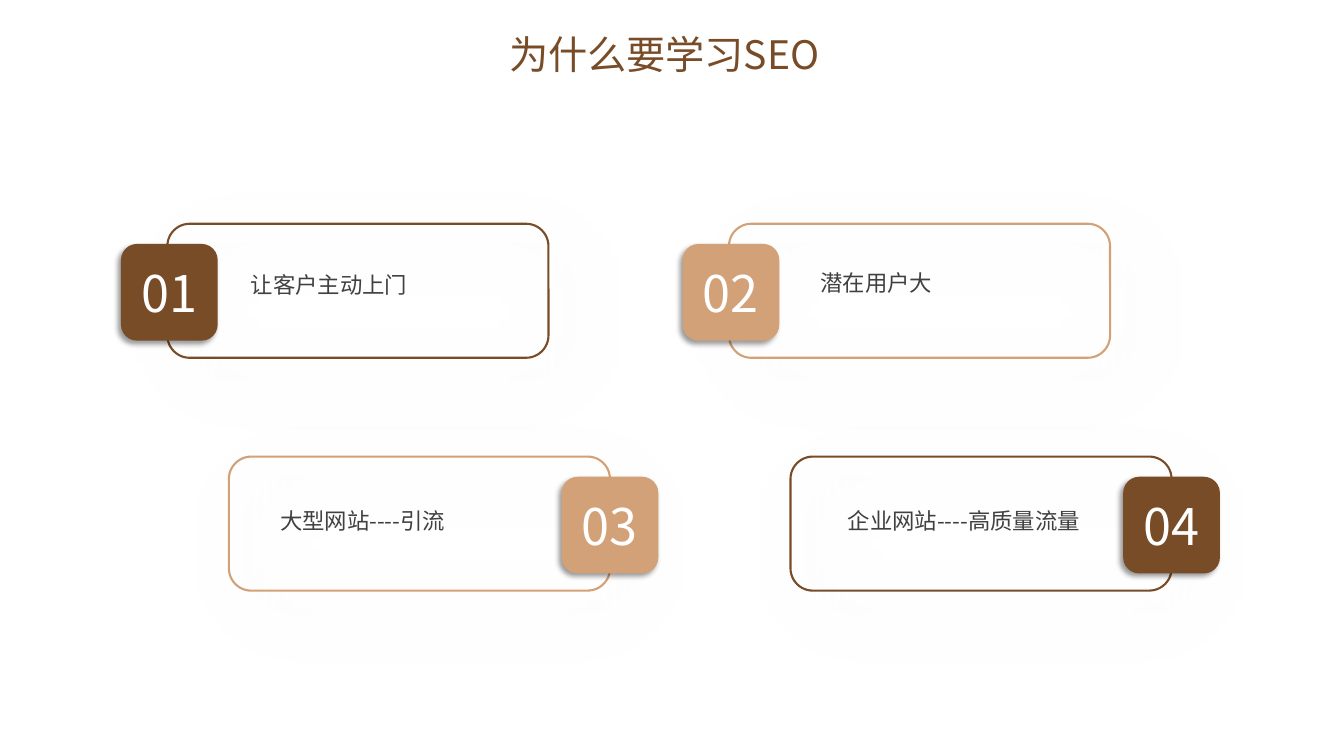
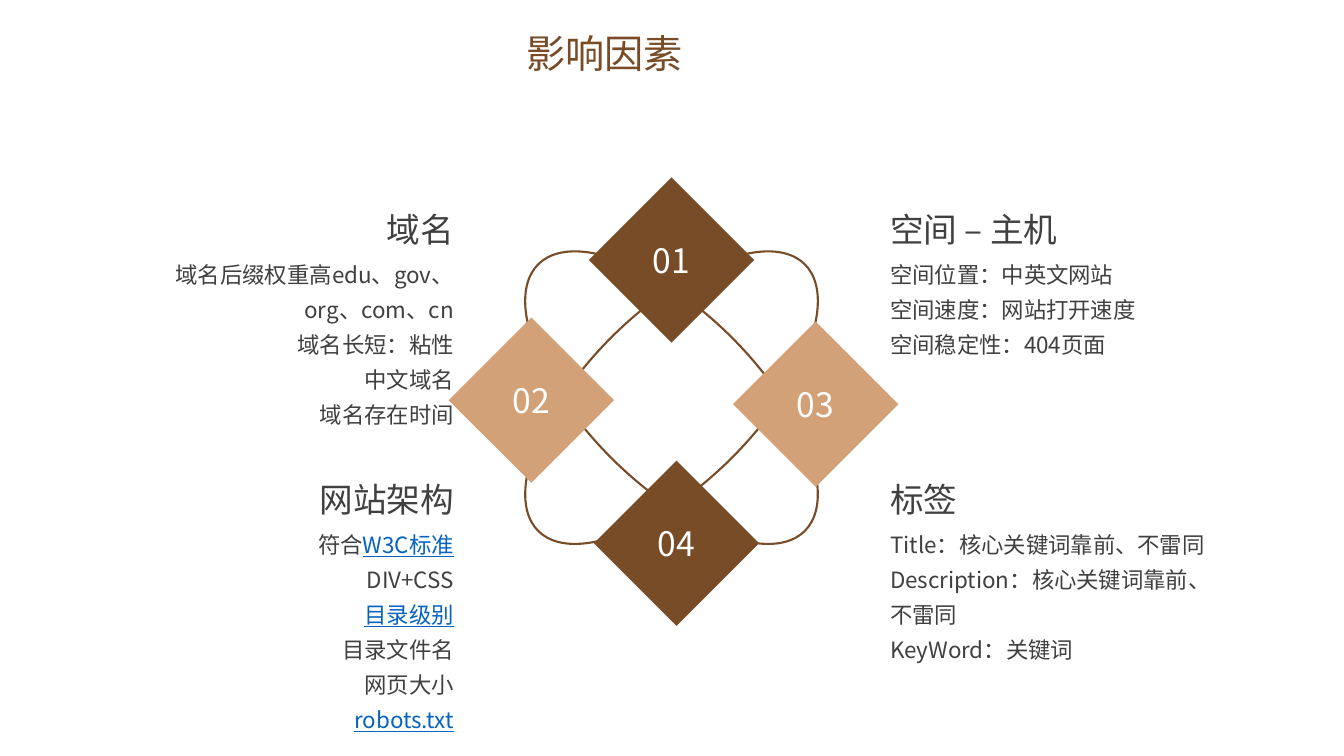
from lxml.etree import SubElement
from pptx import Presentation
from pptx.dml.color import RGBColor
from pptx.enum.shapes import MSO_SHAPE
from pptx.enum.text import MSO_ANCHOR, MSO_AUTO_SIZE, PP_ALIGN
from pptx.oxml.ns import qn
from pptx.util import Emu, Inches, Pt

FONT = "Noto Sans CJK SC"
COLORS = {
    "brown": "794C28",
    "tan": "D3A177",
    "text": "404040",
    "link": "0563C1",
    "white": "FFFFFF",
    "gray": "808080",
    "black": "000000",
}
CARD_SHADOW = ("gray", 20, 50, 20, 45)
BADGE_SHADOW = ("black", 40, 4, 3, 135)


def rgb(name):
    """Return the named palette colour."""
    return RGBColor.from_string(COLORS[name])


def style_run(r, size, color):
    """Set the size, colour and typefaces of a run."""
    r.font.size = Pt(size)
    r.font.name = FONT
    r.font.color.rgb = rgb(color)
    SubElement(r.font._element, qn("a:ea"), typeface=FONT)


def add_shadow(shape, color, alpha, blur, dist, angle):
    """Give a shape an outer shadow, with lengths in points."""
    effects = shape._element.spPr.find(qn("a:effectLst"))
    outer = SubElement(effects, qn("a:outerShdw"), blurRad=str(Pt(blur)), dist=str(Pt(dist)),
                       dir=str(angle * 60000), algn="ctr", rotWithShape="0")
    clr = SubElement(outer, qn("a:srgbClr"), val=COLORS[color])
    SubElement(clr, qn("a:alpha"), val=str(alpha * 1000))


def add_figure(s, kind, x, y, w, h, fill=None, line=None, shadow=None):
    """Add a preset shape that is either filled or outlined."""
    shape = s.shapes.add_shape(kind, Inches(x), Inches(y), Inches(w), Inches(h))
    shape.shadow.inherit = False
    if fill:
        shape.fill.solid()
        shape.fill.fore_color.rgb = rgb(fill)
    else:
        shape.fill.background()
    if line:
        shape.line.color.rgb = rgb(line)
        shape.line.width = Pt(1.5)
    else:
        shape.line.fill.background()
    if shadow:
        add_shadow(shape, *shadow)
    return shape


def add_number(shape, text, size):
    """Centre a white number in a shape."""
    tf = shape.text_frame
    tf.margin_left = tf.margin_right = Emu(0)
    tf.vertical_anchor = MSO_ANCHOR.MIDDLE
    tf.text = text
    p = tf.paragraphs[0]
    p.alignment = PP_ALIGN.CENTER
    style_run(p.runs[0], size, "white")


def add_text(s, x, y, w, h, lines, size, color="text", align=None, spacing=None):
    """Add a text box; each line is a string or a list of (text, is_link) pairs."""
    tb = s.shapes.add_textbox(Inches(x), Inches(y), Inches(w), Inches(h))
    tf = tb.text_frame
    tf.word_wrap = True
    tf.auto_size = MSO_AUTO_SIZE.SHAPE_TO_FIT_TEXT
    for i, line in enumerate(lines):
        p = tf.add_paragraph() if i else tf.paragraphs[0]
        p.alignment = align
        p.line_spacing = spacing
        for text, is_link in [(line, False)] if isinstance(line, str) else line:
            r = p.add_run()
            r.text = text
            style_run(r, size, "link" if is_link else color)
            if is_link:
                r.font.underline = True


def add_title(s, x, y, w, text):
    """Add the slide title."""
    add_text(s, x, y, w, 0.57, [text], 28, "brown", PP_ALIGN.JUSTIFY)


def add_card(s, x, y, number, text, color, badge_dx, text_dx, text_dy, spacing):
    """Add an outlined card with a number badge on one side."""
    add_figure(s, MSO_SHAPE.ROUNDED_RECTANGLE, x, y, 3.78, 1.33, line=color, shadow=CARD_SHADOW)
    badge = add_figure(s, MSO_SHAPE.ROUNDED_RECTANGLE, x + badge_dx, y + 0.2, 0.96, 0.96,
                       fill=color, shadow=BADGE_SHADOW)
    add_number(badge, number, 36)
    add_text(s, x + text_dx, y + text_dy, 2.6, 0.42, [text], 16, spacing=spacing)


def add_ring(s, x, y):
    """Add two crossed ellipses with four numbered diamonds."""
    for angle in (45, 135):
        ellipse = add_figure(s, MSO_SHAPE.OVAL, x + 0.34, y + 1.34, 3.74, 1.69, line="brown")
        ellipse.rotation = angle
    for number, dx, dy, color in (
        ("01", 1.39, 0, "brown"),
        ("03", 2.82, 1.43, "tan"),
        ("04", 1.44, 2.81, "brown"),
        ("02", 0, 1.39, "tan"),
    ):
        diamond = add_figure(s, MSO_SHAPE.FLOWCHART_DECISION, x + dx, y + dy, 1.64, 1.64, fill=color)
        add_number(diamond, number, 24)


def add_factor(s, x, y, w, heading, lines, align=None):
    """Add a heading with its detail lines below."""
    add_text(s, x, y, w, 0.5, [heading], 24, align=align)
    add_text(s, x, y + 0.44, w, 0.35 * len(lines) + 0.07, lines, 16, align=align, spacing=1.3)


def build_reasons(s):
    """Build the slide with four reason cards."""
    cards = (
        ("01", "让客户主动上门", "brown", 0.73, 0.29, 1.5),
        ("02", "潜在用户大", "tan", 0.81, 0.32, 1.3),
        ("03", "大型网站----引流", "tan", 0.41, 0.37, 1.3),
        ("04", "企业网站----高质量流量", "brown", 0.47, 0.37, 1.3),
    )
    for i, (number, text, color, text_dx, text_dy, spacing) in enumerate(cards):
        row, col = divmod(i, 2)
        add_card(s, 1.66 + 5.57 * col + 0.61 * row, 2.22 + 2.31 * row, number, text, color,
                 3.3 if row else -0.46, text_dx, text_dy, spacing)
    add_title(s, 4.95, 0.25, 3.42, "为什么要学习SEO")


def build_factors(s):
    """Build the slide with four groups of factors around a ring."""
    add_ring(s, 4.45, 1.76)
    left, right, top, bottom = 1.23, 8.73, 2.02, 4.7
    add_factor(s, right, bottom, 3.37, "标签", [
        "Title：核心关键词靠前、不雷同",
        "Description：核心关键词靠前、不雷同",
        "KeyWord：关键词",
    ])
    add_factor(s, right, top, 4.6, "空间 – 主机", [
        "空间位置：中英文网站",
        "空间速度：网站打开速度",
        "空间稳定性：404页面",
    ])
    add_factor(s, left, bottom, 3.37, "网站架构", [
        [("符合", False), ("W3C标准", True)],
        "DIV+CSS",
        [("目录级别", True)],
        "目录文件名",
        "网页大小",
        [("robots.txt", True)],
    ], PP_ALIGN.RIGHT)
    add_factor(s, left, top, 3.37, "域名", [
        "域名后缀权重高edu、gov、org、com、cn",
        "域名长短：粘性",
        "中文域名",
        "域名存在时间",
    ], PP_ALIGN.RIGHT)
    add_title(s, 5.12, 0.24, 2.82, "影响因素")


def main():
    """Build and save the presentation."""
    prs = Presentation()
    prs.slide_width, prs.slide_height = Inches(13.33), Inches(7.5)
    for build in (build_reasons, build_factors):
        build(prs.slides.add_slide(prs.slide_layouts[6]))
    prs.save("out.pptx")


if __name__ == "__main__":
    main()
